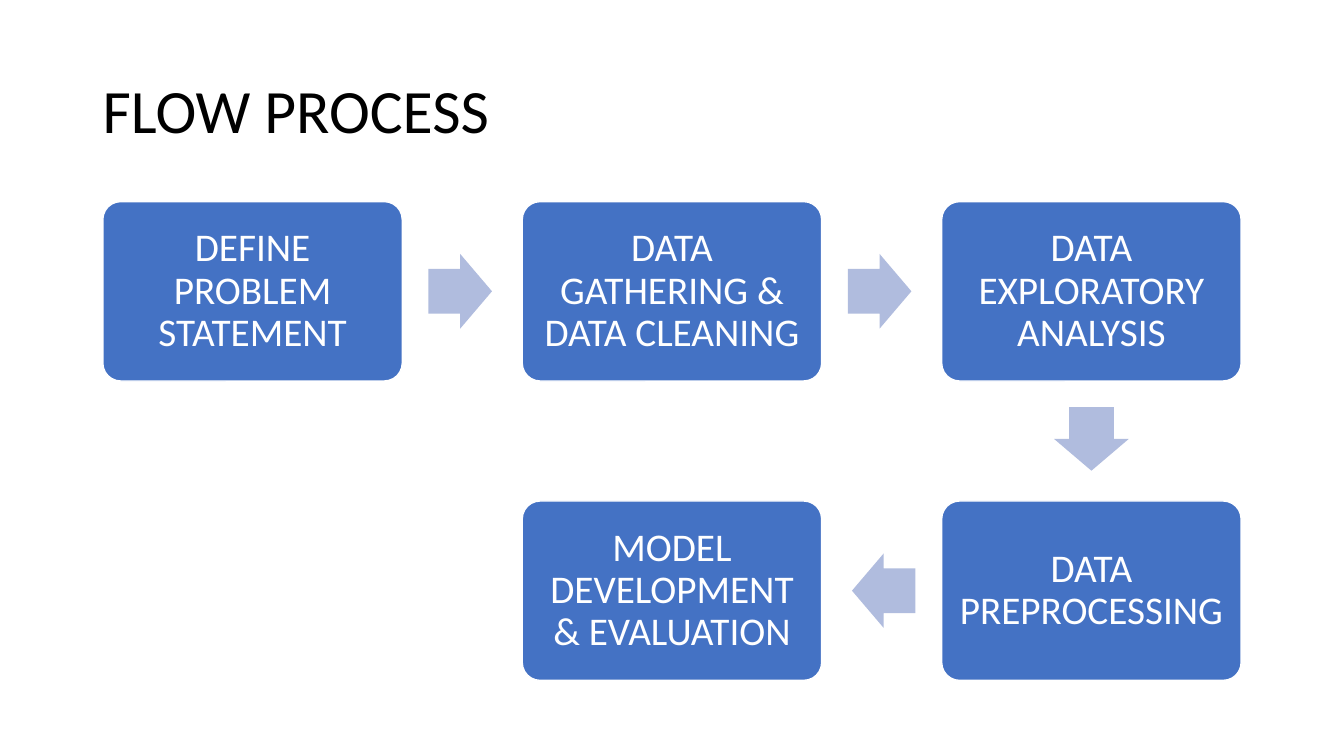
from pptx import Presentation
from pptx import util as u
from pptx.dml.color import RGBColor
from pptx.enum import shapes, text

BLUE = RGBColor(0x44, 0x72, 0xC4)
PALE = RGBColor(0xB0, 0xBC, 0xDE)
WHITE = RGBColor(0xFF, 0xFF, 0xFF)
BLACK = RGBColor(0, 0, 0)

LEFT, TOP = 1.02, 2
COL, ROW = 4.16, 2.97
WIDE, HIGH = 2.97, 1.78
LONG, THICK = 0.63, 0.74
SHIFT = 0.02


def write(shape, words, size, color, align, inset=0.1, after=0):
    frame = shape.text_frame
    frame.word_wrap = True
    frame.vertical_anchor = text.MSO_ANCHOR.MIDDLE
    frame.margin_left = frame.margin_right = u.Inches(inset)
    para = frame.paragraphs[0]
    para.alignment = align
    para.line_spacing = 0.9
    para.space_after = u.Pt(after)
    run = para.add_run()
    run.text = words
    run.font.name = "Calibri"
    run.font.size = u.Pt(size)
    run.font.color.rgb = color


def draw(kind, left, top, wide, high, fill):
    shape = slide.shapes.add_shape(kind, *map(u.Inches, (left, top, wide, high)))
    shape.shadow.inherit = False
    shape.fill.solid()
    shape.fill.fore_color.rgb = fill
    return shape


deck = Presentation()
deck.slide_width, deck.slide_height = u.Inches(13.33), u.Inches(7.5)
slide = deck.slides.add_slide(deck.slide_layouts[6])

title = slide.shapes.add_textbox(*map(u.Inches, (0.92, 0.4, 11.5, 1.45)))
write(title, "FLOW PROCESS", 44, BLACK, text.PP_ALIGN.LEFT)

steps = [
    ("DEFINE PROBLEM STATEMENT", 0, 0),
    ("DATA GATHERING & DATA CLEANING", 1, 0),
    ("DATA EXPLORATORY ANALYSIS", 2, 0),
    ("DATA PREPROCESSING", 2, 1),
    ("MODEL DEVELOPMENT & EVALUATION", 1, 1),
]
for words, col, row in steps:
    box = draw(shapes.MSO_SHAPE.ROUNDED_RECTANGLE,
               LEFT + col * COL, TOP + row * ROW, WIDE, HIGH, BLUE)
    box.adjustments[0] = 0.1
    box.line.color.rgb = WHITE
    box.line.width = u.Pt(1)
    write(box, words, 28, WHITE, text.PP_ALIGN.CENTER)

turns = {(1, 0): 0, (0, 1): 90, (-1, 0): 180}
for (_, col, row), (_, far, low) in zip(steps, steps[1:]):
    dx, dy = far - col, low - row
    midx = LEFT + WIDE / 2 + (col + far) / 2 * COL - dx * SHIFT
    midy = TOP + HIGH / 2 + (row + low) / 2 * ROW - dy * SHIFT
    arrow = draw(shapes.MSO_SHAPE.RIGHT_ARROW,
                 midx - LONG / 2, midy - THICK / 2, LONG, THICK, PALE)
    arrow.adjustments[0] = 0.6
    arrow.adjustments[1] = 0.5
    arrow.line.fill.background()
    arrow.rotation = turns[dx, dy]

deck.save("out.pptx")
